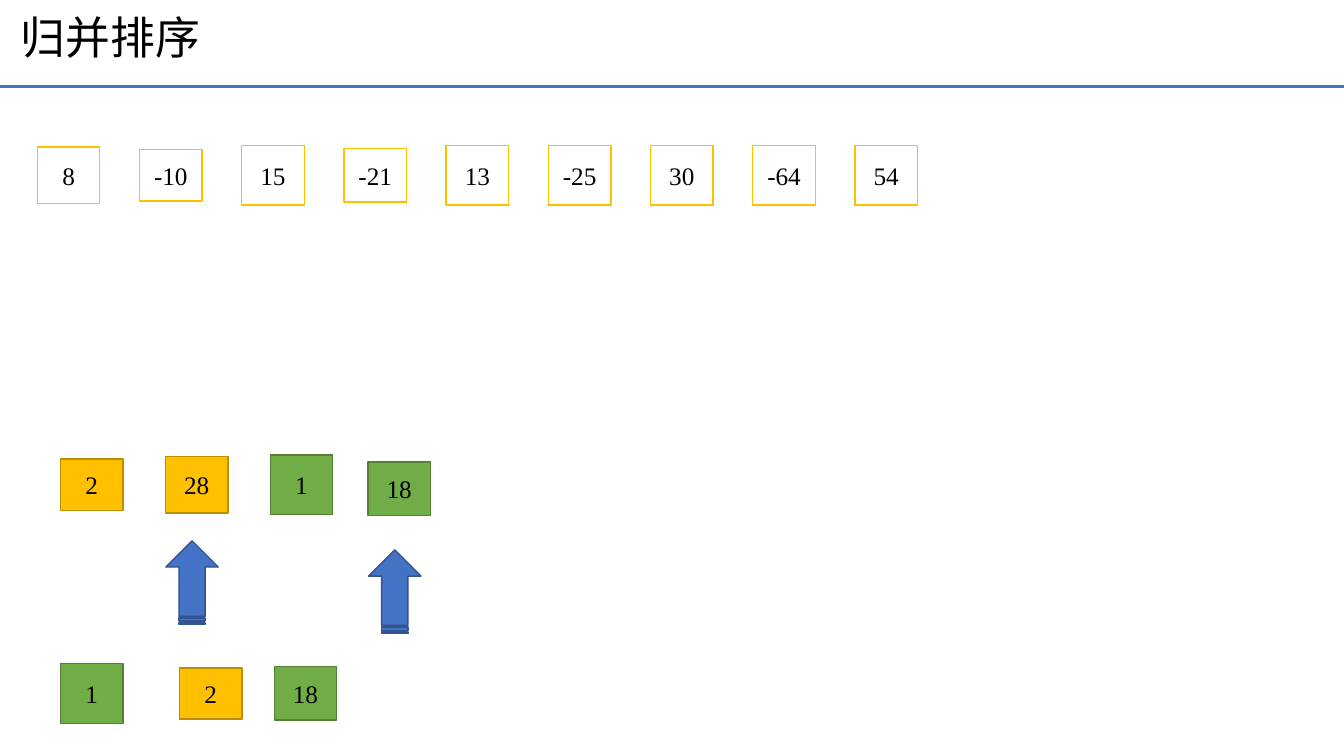
import pptx
import pptx.dml.color
import pptx.enum.shapes
import pptx.enum.text
import pptx.oxml
import pptx.util
from pptx.util import Inches

FONT = "Times New Roman"
SLIDE_WIDTH, SLIDE_HEIGHT = 13.33, 7.5
BOX_WIDTH, BOX_HEIGHT = 0.62, 0.59
WHITE, BLACK, BLUE, DARK_BLUE = "FFFFFF", "000000", "4472C4", "325491"
OUTLINED = (WHITE, "FFC000")
LEFT_RUN = ("FFC000", "BD8E00")
RIGHT_RUN = ("70AD47", "538035")

INPUT_VALUES = [8, -10, 15, -21, 13, -25, 30, -64, 54]
INPUT_HEIGHTS = {8: 0.56, -10: 0.51, -21: 0.53}
RUN_HEIGHTS = {2: 0.51, 28: 0.56, 18: 0.53}


def color(hex_string):
    return pptx.dml.color.RGBColor.from_string(hex_string)


def style_text(text_frame, size):
    text_frame.vertical_anchor = pptx.enum.text.MSO_ANCHOR.MIDDLE
    font = text_frame.paragraphs[0].runs[0].font
    font.name = FONT
    font.size = pptx.util.Pt(size)
    font.color.rgb = color(BLACK)


def add_filled_shape(slide, kind, left, top, width, height, fill, line):
    shape = slide.shapes.add_shape(
        kind, Inches(left), Inches(top), Inches(width), Inches(height))
    shape.shadow.inherit = False
    shape.fill.solid()
    shape.fill.fore_color.rgb = color(fill)
    shape.line.color.rgb = color(line)
    shape.line.width = pptx.util.Pt(1)
    return shape


def add_header(slide, left, top, width, height):
    rule_y = Inches(0.86)
    rule = slide.shapes.add_connector(
        pptx.enum.shapes.MSO_CONNECTOR.STRAIGHT, 0, rule_y, Inches(SLIDE_WIDTH), rule_y)
    rule.line.color.rgb = color(BLUE)
    rule.line.width = pptx.util.Pt(2.25)
    rule._element.spPr.append(pptx.oxml.parse_xml(
        '<a:effectLst xmlns:a="http://schemas.openxmlformats.org/drawingml/2006/main"/>'))

    title = slide.shapes.add_textbox(
        Inches(left), Inches(top), Inches(width), Inches(height))
    title.text_frame.word_wrap = True
    title.text_frame.text = "归并排序"
    title.text_frame.paragraphs[0].line_spacing = 0.9
    style_text(title.text_frame, 32)


def add_number_box(slide, value, left, center_y, height, colors):
    box = add_filled_shape(
        slide, pptx.enum.shapes.MSO_SHAPE.RECTANGLE,
        left, center_y - height / 2, BOX_WIDTH, height, *colors)
    box.text_frame.text = str(value)
    box.text_frame.paragraphs[0].alignment = pptx.enum.text.PP_ALIGN.CENTER
    style_text(box.text_frame, 18)


def add_input_row(slide, left, center_y, pitch):
    for index, value in enumerate(INPUT_VALUES):
        add_number_box(slide, value, left + index * pitch, center_y,
                       INPUT_HEIGHTS.get(value, BOX_HEIGHT), OUTLINED)


def add_run_row(slide, left, center_y, items):
    """Place (value, x offset, y offset, colors) items of the merge step."""
    for value, offset_x, offset_y, colors in items:
        add_number_box(slide, value, left + offset_x, center_y + offset_y,
                       RUN_HEIGHTS.get(value, BOX_HEIGHT), colors)


def add_pointer(slide, left, top, length=0.83, thickness=0.52):
    """Add an upward striped arrow; left and top are those of the unrotated box."""
    arrow = add_filled_shape(
        slide, pptx.enum.shapes.MSO_SHAPE.STRIPED_RIGHT_ARROW,
        left, top, length, thickness, BLUE, DARK_BLUE)
    arrow.rotation = 270


def main():
    presentation = pptx.Presentation()
    presentation.slide_width = Inches(SLIDE_WIDTH)
    presentation.slide_height = Inches(SLIDE_HEIGHT)
    slide = presentation.slides.add_slide(presentation.slide_layouts[6])

    add_header(slide, 0.11, 0.05, 13.22, 0.69)
    add_input_row(slide, left=0.37, center_y=1.74, pitch=8.11 / 8)
    add_run_row(slide, 0.6, 4.81, [
        (2, 0, 0, LEFT_RUN), (28, 1.04, 0, LEFT_RUN),
        (1, 2.08, 0, RIGHT_RUN), (18, 3.05, 0.04, RIGHT_RUN)])
    add_pointer(slide, 1.49, 5.52)
    add_pointer(slide, 3.5, 5.61)
    add_run_row(slide, 0.6, 6.88, [
        (1, 0, 0, RIGHT_RUN), (2, 1.18, 0, LEFT_RUN), (18, 2.12, 0, RIGHT_RUN)])

    presentation.save("out.pptx")


if __name__ == "__main__":
    main()
